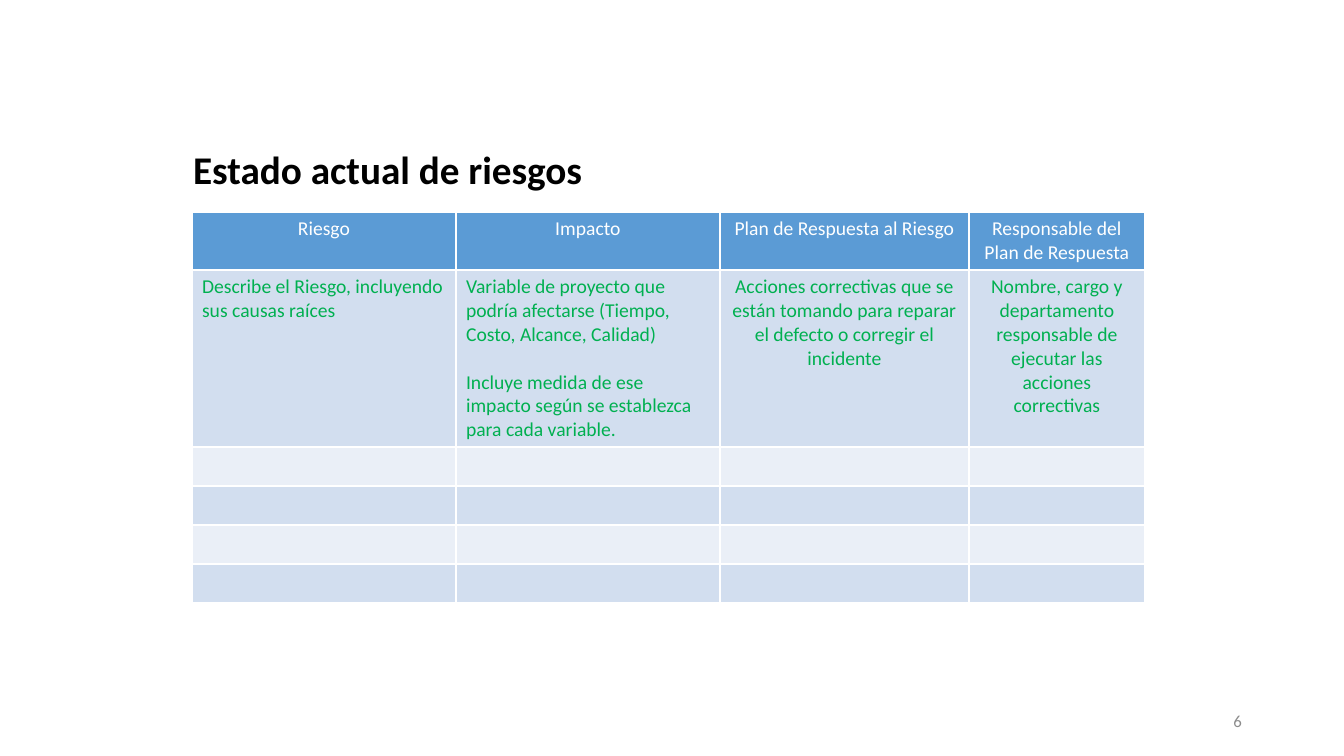
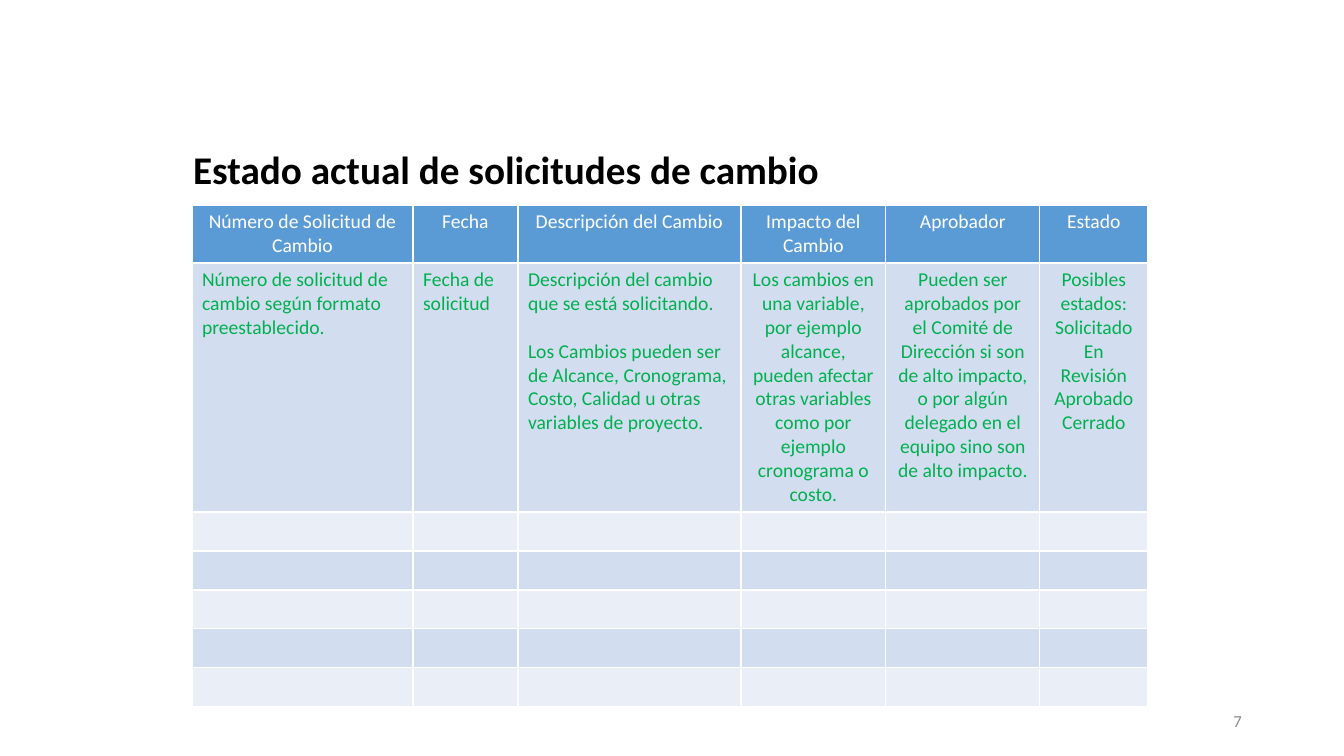
from lxml import etree
from pptx import Presentation
from pptx.dml.color import RGBColor
from pptx.enum.text import MSO_ANCHOR, MSO_AUTO_SIZE, PP_ALIGN
from pptx.oxml import parse_xml
from pptx.oxml.ns import nsdecls
from pptx.util import Emu, Pt

LEFT, CENTER, RIGHT = PP_ALIGN.LEFT, PP_ALIGN.CENTER, PP_ALIGN.RIGHT
MIDDLE, NO_FIT = MSO_ANCHOR.MIDDLE, MSO_AUTO_SIZE.NONE
EMU_PER_PIXEL = 914400 / 100.8
TITLE_ONLY = 5

THEME = {
    "title": {"color": "000000", "font": {"name": "Calibri", "size": Pt(28), "bold": True}},
    "number": {"color": "8C8C8C", "font": {"name": "Calibri", "size": Pt(12), "bold": False}},
    "header": {"color": "FFFFFF", "font": {"name": "Calibri", "size": Pt(14), "bold": False}},
    "guide": {"color": "00B050", "font": {"name": "Calibri", "size": Pt(14), "bold": False}},
    "header_fill": "5B9BD5",
    "band_fills": ["EAEFF7", "D2DEEF"],
    "border": "FFFFFF",
    "border_width": Pt(1),
    "paragraph_gap": Pt(17),
}
TITLE_BOX = (183, 149, 857, 39)
NUMBER_BOX = (950, 701, 302, 40)
TABLE_LEFT = 192
HEADER_HEIGHT = 58
EMPTY_HEIGHT = 39

SLIDES = [
    {
        "number": "6",
        "title": "Estado actual de riesgos",
        "top": 212,
        "guide_height": 177,
        "empty_rows": 4,
        "columns": [
            (264, "Riesgo", LEFT, ["Describe el Riesgo, incluyendo sus causas raíces"]),
            (264, "Impacto", LEFT, [
                "Variable de proyecto que podría afectarse (Tiempo, Costo, Alcance, Calidad)",
                "Incluye medida de ese impacto según se establezca para cada variable."]),
            (249, "Plan de Respuesta al Riesgo", CENTER, [
                "Acciones correctivas que se están tomando para reparar el defecto o corregir el incidente"]),
            (176, "Responsable del Plan de Respuesta", CENTER, [
                "Nombre, cargo y departamento responsable de ejecutar las acciones correctivas"]),
        ],
    },
    {
        "number": "7",
        "title": "Estado actual de solicitudes de cambio",
        "top": 205,
        "guide_height": 249,
        "empty_rows": 5,
        "columns": [
            (221, "Número de Solicitud de Cambio", LEFT, [
                "Número de solicitud de cambio según formato preestablecido."]),
            (105, "Fecha", LEFT, ["Fecha de solicitud"]),
            (223, "Descripción del Cambio", LEFT, [
                "Descripción del cambio que se está solicitando.",
                "Los Cambios pueden ser de Alcance, Cronograma, Costo, Calidad u otras variables de proyecto."]),
            (145, "Impacto del Cambio", CENTER, [
                "Los cambios en una variable, por ejemplo alcance, pueden afectar otras variables "
                "como por ejemplo cronograma o costo."]),
            (154, "Aprobador", CENTER, [
                "Pueden ser aprobados por el Comité de Dirección si son de alto impacto, "
                "o por algún delegado en el equipo sino son de alto impacto."]),
            (108, "Estado", CENTER, [
                "Posibles estados:", "Solicitado", "En Revisión", "Aprobado", "Cerrado"]),
        ],
    },
]


def px(pixels):
    return Emu(round(pixels * EMU_PER_PIXEL))


def write(frame, texts, style, align):
    for index, text in enumerate(texts):
        para = frame.add_paragraph() if index else frame.paragraphs[0]
        para.alignment = align
        if index and align == LEFT:
            para.space_before = THEME["paragraph_gap"]
        span = para.add_run()
        span.text = text
        for name, value in style["font"].items():
            setattr(span.font, name, value)
        span.font.color.rgb = RGBColor.from_string(style["color"])


deck = Presentation()
deck.slide_width, deck.slide_height = px(1344), px(756)

for content in SLIDES:
    page = deck.slides.add_slide(deck.slide_layouts[TITLE_ONLY])
    title = page.shapes.title
    number = page.shapes.add_textbox(*map(px, NUMBER_BOX))
    title.left, title.top, title.width, title.height = map(px, TITLE_BOX)
    for box, key, align in [(title, "title", LEFT), (number, "number", RIGHT)]:
        frame = box.text_frame
        for name, value in {"word_wrap": True, "auto_size": NO_FIT, "vertical_anchor": MIDDLE}.items():
            setattr(frame, name, value)
        write(frame, [content[key]], THEME[key], align)

    columns = content["columns"]
    heights = [HEADER_HEIGHT, content["guide_height"]] + [EMPTY_HEIGHT] * content["empty_rows"]
    table_width = sum(column[0] for column in columns)
    table = page.shapes.add_table(
        len(heights), len(columns),
        px(TABLE_LEFT), px(content["top"]), px(table_width), px(sum(heights))).table
    for row, height in zip(table.rows, heights):
        row.height = px(height)

    for column_index, (width, heading, align, guide) in enumerate(columns):
        table.columns[column_index].width = px(width)
        for row_index in range(len(heights)):
            cell = table.cell(row_index, column_index)
            properties = cell._tc.get_or_add_tcPr()
            for side in ("lnL", "lnR", "lnT", "lnB"):
                line = parse_xml(f'<a:{side} {nsdecls("a")} w="{THEME["border_width"]}"/>')
                fill = etree.SubElement(line, line.tag.replace(side, "solidFill"))
                etree.SubElement(fill, line.tag.replace(side, "srgbClr"), val=THEME["border"])
                properties.append(line)
            cell.fill.solid()
            color = THEME["band_fills"][row_index % 2] if row_index else THEME["header_fill"]
            cell.fill.fore_color.rgb = RGBColor.from_string(color)
            if row_index == 0:
                write(cell.text_frame, [heading], THEME["header"], CENTER)
            elif row_index == 1:
                write(cell.text_frame, guide, THEME["guide"], align)
            else:
                cell.margin_top = cell.margin_bottom = 0

deck.save("out.pptx")
